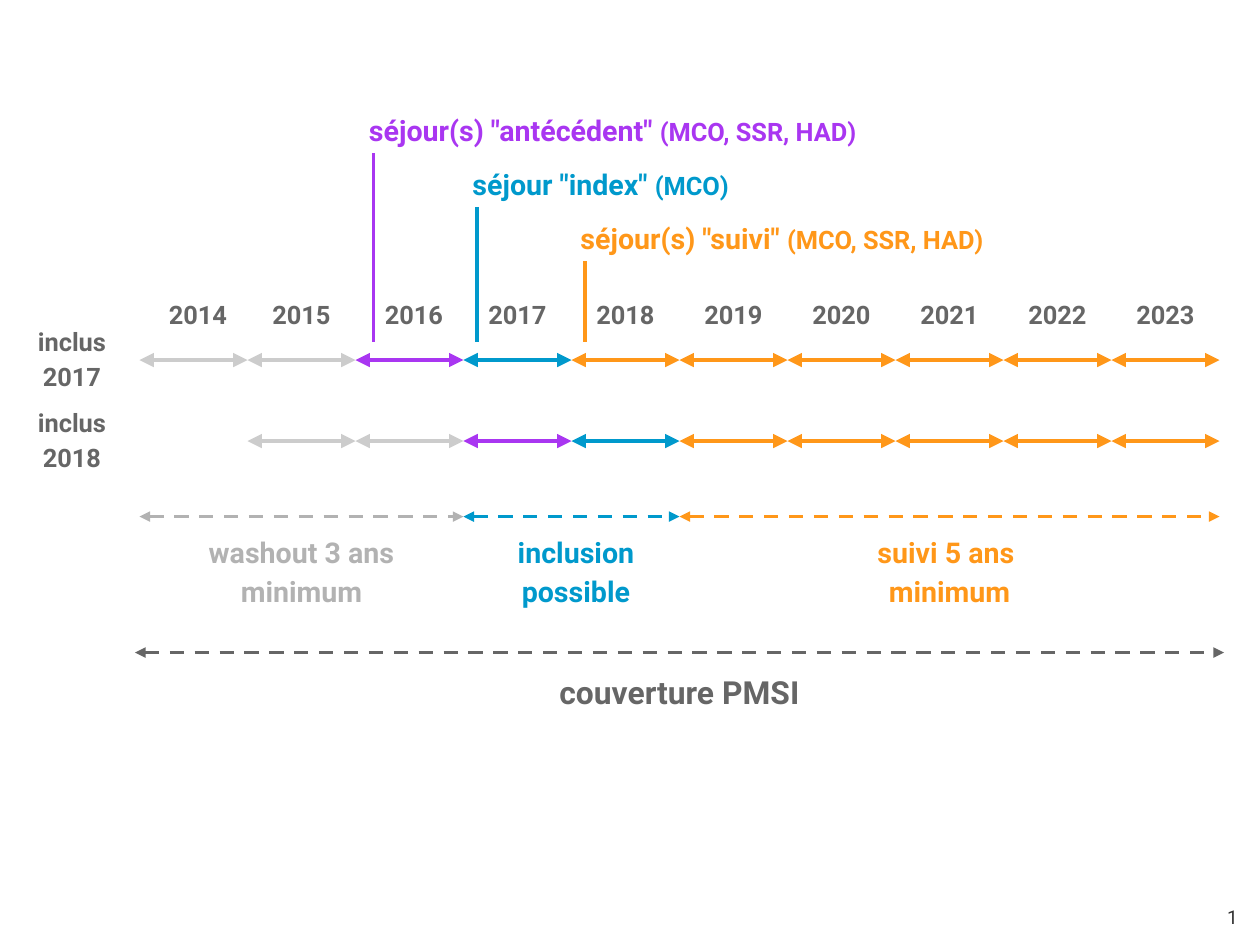
from dataclasses import dataclass

from lxml.etree import SubElement
from pptx import Presentation
from pptx.dml.color import RGBColor
from pptx.enum.dml import MSO_LINE
from pptx.enum.shapes import MSO_CONNECTOR
from pptx.enum.text import MSO_ANCHOR, PP_ALIGN
from pptx.oxml.ns import qn
from pptx.slide import Slide
from pptx.util import Cm, Pt


@dataclass(frozen=True)
class Theme:
    font: str = "Roboto"
    text: str = "666666"
    page: str = "333333"
    unused: str = "CCCCCC"
    washout: str = "B2B2B2"
    history: str = "A936F1"
    index: str = "0099CC"
    follow_up: str = "FF9719"
    coverage_size: int = 20
    heading_size: int = 18
    label_size: int = 16
    page_size: int = 12
    year_line: float = 3
    thin_line: float = 2.25


THEME = Theme()


@dataclass(frozen=True)
class Cohort:
    year: int
    first_year: int
    y: float


@dataclass(frozen=True)
class Stay:
    name: str
    units: str
    year: int
    color: str


@dataclass(frozen=True)
class Period:
    caption: str
    first_year: int
    end_year: int
    color: str
    caption_shift: float = 0


# Lengths in centimetres
FIRST_YEAR, END_YEAR = 2014, 2024
AXIS_LEFT, YEAR_WIDTH = 3.1, 2.4
YEAR_LABEL_NUDGE = {2014: 0.1, 2016: 0.1}
PERIOD_Y, COVERAGE_Y = 11.48, 14.5
MARKER_TOP, MARKER_STEP, MARKER_BOTTOM = 3.4, 1.2, 7.6

COHORTS = [Cohort(2017, 2014, 8.0), Cohort(2018, 2015, 9.8)]
STAYS = [
    Stay('séjour(s) "antécédent" ', "(MCO, SSR, HAD)", 2016, THEME.history),
    Stay('séjour "index" ', "(MCO)", 2017, THEME.index),
    Stay('séjour(s) "suivi" ', "(MCO, SSR, HAD)", 2018, THEME.follow_up),
]
PERIODS = [
    Period("washout 3 ans\nminimum", 2014, 2017, THEME.washout),
    Period("inclusion possible", 2017, 2019, THEME.index, 0.1),
    Period("suivi 5 ans \nminimum", 2019, 2024, THEME.follow_up),
]


def year_x(year: int) -> float:
    return AXIS_LEFT + YEAR_WIDTH * (year - FIRST_YEAR)


def year_label_x(year: int) -> float:
    return year_x(year) + 0.3 + YEAR_LABEL_NUDGE.get(year, 0)


def stay_color(year: int, cohort: Cohort) -> str:
    if year > cohort.year:
        return THEME.follow_up
    if year == cohort.year:
        return THEME.index
    return THEME.history if year == cohort.year - 1 else THEME.unused


def add_text(slide: Slide, text: str, *, left: float, top: float, width: float,
             height: float, size: int = THEME.label_size, color: str = THEME.text,
             bold: bool = True, align: PP_ALIGN = PP_ALIGN.CENTER,
             anchor: MSO_ANCHOR = MSO_ANCHOR.MIDDLE, margin: float = 0.1,
             spacing: float = 1.15, detail: str = "") -> None:
    """Write one paragraph per line; detail follows in the label size."""
    frame = slide.shapes.add_textbox(Cm(left), Cm(top), Cm(width), Cm(height)).text_frame
    frame.word_wrap = True
    frame.vertical_anchor = anchor
    frame.margin_left = frame.margin_right = Cm(margin)
    frame.margin_top = frame.margin_bottom = Cm(margin)
    for number, line in enumerate(text.split("\n")):
        paragraph = frame.add_paragraph() if number else frame.paragraphs[0]
        paragraph.alignment = align
        paragraph.line_spacing = spacing
        for words, points in ((line, size), (detail, THEME.label_size)):
            if words:
                run = paragraph.add_run()
                run.text = words
                run.font.name = THEME.font
                run.font.size = Pt(points)
                run.font.bold = bold
                run.font.color.rgb = RGBColor.from_string(color)


def add_line(slide: Slide, start: tuple[float, float], end: tuple[float, float], *,
             color: str, width: float = THEME.thin_line, dashed: bool = False,
             arrows: bool = True) -> None:
    connector = slide.shapes.add_connector(
        MSO_CONNECTOR.STRAIGHT, *(Cm(length) for length in (*start, *end)))
    connector.line.color.rgb = RGBColor.from_string(color)
    connector.line.width = Pt(width)
    if dashed:
        connector.line.dash_style = MSO_LINE.DASH
    properties = connector.element.spPr
    if arrows:
        outline = properties.find(qn("a:ln"))
        for tip in ("a:headEnd", "a:tailEnd"):
            SubElement(outline, qn(tip), type="triangle")
    SubElement(properties, qn("a:effectLst"))


def draw_years(slide: Slide) -> None:
    for year in range(FIRST_YEAR, END_YEAR):
        add_text(slide, str(year), left=year_label_x(year), top=6.15, width=1.8, height=1.55)


def draw_cohort(slide: Slide, cohort: Cohort) -> None:
    add_text(slide, f"inclus\n{cohort.year}", left=0.6, top=cohort.y - 1.07,
             width=2, height=1.98)
    for year in range(cohort.first_year, END_YEAR):
        add_line(slide, (year_x(year), cohort.y), (year_x(year + 1), cohort.y),
                 color=stay_color(year, cohort), width=THEME.year_line)


def draw_stay(slide: Slide, stay: Stay, top: float) -> None:
    x = year_label_x(stay.year)
    add_line(slide, (x, top), (x, MARKER_BOTTOM), color=stay.color, arrows=False)
    add_text(slide, stay.name, detail=stay.units, left=x - 0.2, top=top - 1.22,
             width=11.8, height=1.32, size=THEME.heading_size, color=stay.color,
             align=PP_ALIGN.LEFT)


def draw_period(slide: Slide, period: Period) -> None:
    left, right = year_x(period.first_year), year_x(period.end_year)
    add_line(slide, (left, PERIOD_Y), (right, PERIOD_Y), color=period.color, dashed=True)
    add_text(slide, period.caption, left=left + period.caption_shift, top=11.5,
             width=right - left, height=2.3, size=THEME.heading_size, color=period.color)


def main() -> None:
    deck = Presentation()
    deck.slide_width, deck.slide_height = Cm(28), Cm(21)
    slide = deck.slides.add_slide(deck.slide_layouts[6])

    # Timeline
    draw_years(slide)
    for cohort in COHORTS:
        draw_cohort(slide, cohort)
    for level, stay in enumerate(STAYS):
        draw_stay(slide, stay, MARKER_TOP + MARKER_STEP * level)

    # Periods and overall coverage
    for period in PERIODS:
        draw_period(slide, period)
    axis_right = year_x(END_YEAR)
    add_line(slide, (AXIS_LEFT - 0.1, COVERAGE_Y), (axis_right + 0.1, COVERAGE_Y),
             color=THEME.text, dashed=True)
    add_text(slide, "couverture PMSI", left=AXIS_LEFT, top=14.53,
             width=axis_right - AXIS_LEFT, height=1.55, size=THEME.coverage_size)

    # Page number
    add_text(slide, "1", left=20.98, top=20.12, width=6.53, height=0.58,
             size=THEME.page_size, color=THEME.page, bold=False, align=PP_ALIGN.RIGHT,
             anchor=MSO_ANCHOR.TOP, margin=0, spacing=1.0)

    deck.save("out.pptx")


if __name__ == "__main__":
    main()
